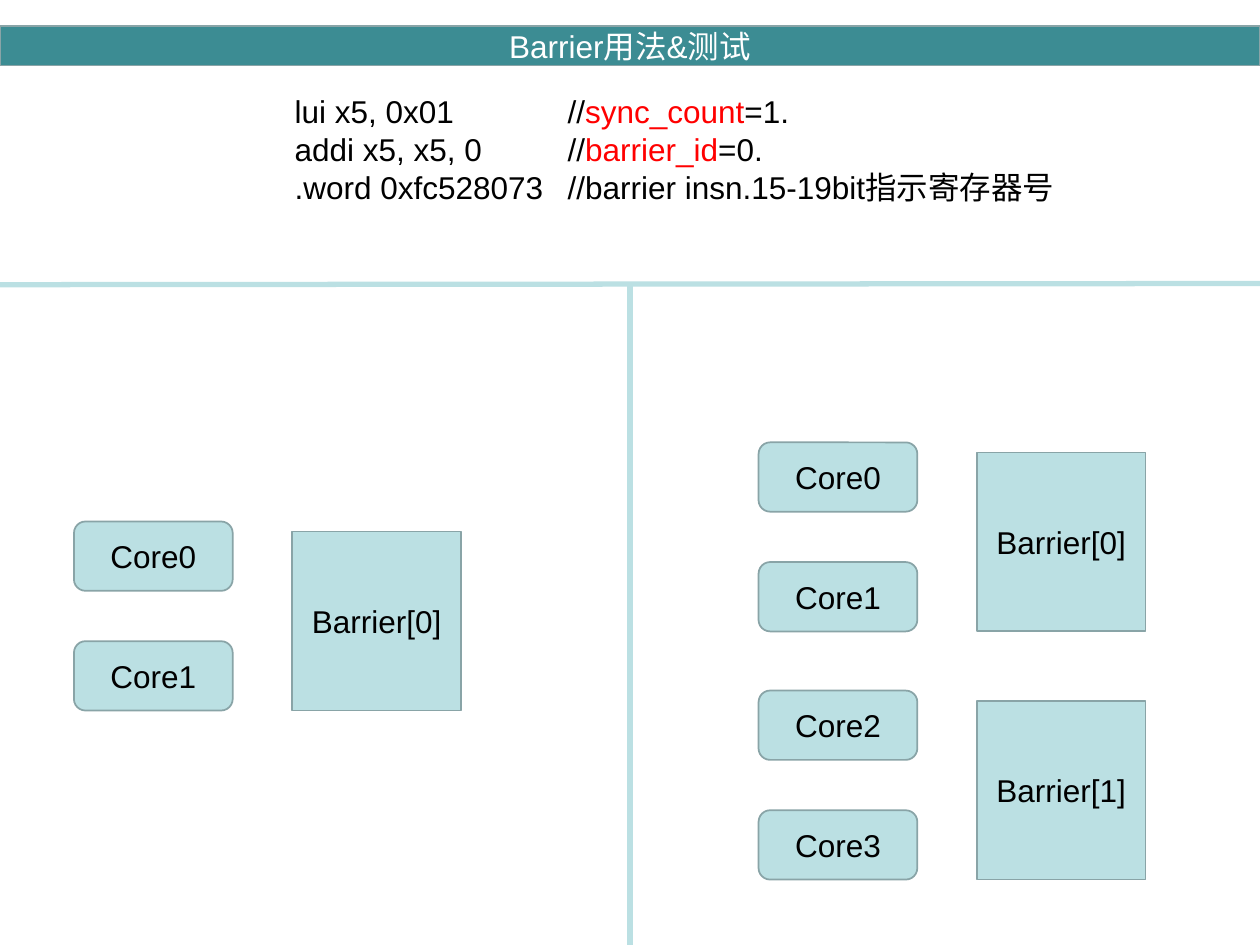
from pptx import Presentation
from pptx.dml.color import RGBColor
from pptx.enum.shapes import MSO_CONNECTOR as CONN, MSO_SHAPE as SHAPE
from pptx.enum.text import MSO_ANCHOR as ANCHOR, MSO_AUTO_SIZE as FIT, PP_ALIGN as ALIGN
from pptx.oxml.ns import qn
from pptx.util import Pt
from lxml.etree import SubElement

# Content
TITLE = "Barrier用法&测试"
CODE = [  # instruction, then comment as (text, colour) runs
    ("lui x5, 0x01", [("//", "text"), ("sync_count", "accent"), ("=1.", "text")]),
    ("addi x5, x5, 0", [("//", "text"), ("barrier_id", "accent"), ("=0.", "text")]),
    (".word 0xfc528073", [("//barrier insn.15-19bit指示寄存器号", "text")]),
]
GROUPS = [  # left, top, cores, barrier
    (42.3, 298, ["Core0", "Core1"], "Barrier[0]"),
    (433.5, 252.8, ["Core0", "Core1"], "Barrier[0]"),
    (433.5, 394.6, ["Core2", "Core3"], "Barrier[1]"),
]

THEME = {
    "font": "Arial", "size": 18, "line_w": 1, "divider_w": 3,
    "title": "FFFFFF", "text": "000000", "accent": "FF0000",
    "bar": "3C8C93", "box": "BBE0E3", "outline": "89A4A7",
}

# Geometry in points
W, H = 720, 540
CORE_W, CORE_H, CORE_PITCH = 90.7, 39.6, 68.4
BARRIER_W, BARRIER_H, BARRIER_DX = 96.5, 102.2, 124.7
SPLIT_Y, COMMENT_TAB = 162, 156


def color(name):
    return RGBColor.from_string(THEME[name])


def add_text(tf, paragraphs, align=ALIGN.CENTER, anchor=ANCHOR.MIDDLE, fit=FIT.NONE, tab=None):
    """Fill tf with paragraphs, each a list of (text, colour name) runs."""
    tf.word_wrap, tf.auto_size, tf.vertical_anchor = True, fit, anchor
    tf.margin_left = tf.margin_right = Pt(7.2)
    tf.margin_top = tf.margin_bottom = Pt(3.6)
    for i, runs in enumerate(paragraphs):
        p = tf.paragraphs[0] if i == 0 else tf.add_paragraph()
        p.alignment = align
        if tab:
            tabs = SubElement(p._p.get_or_add_pPr(), qn("a:tabLst"))
            SubElement(tabs, qn("a:tab"), pos=str(Pt(tab)), algn="l")
        for text, name in runs:
            r = p.add_run()
            r.text = text
            r.font.name, r.font.size = THEME["font"], Pt(THEME["size"])
            r.font.color.rgb = color(name)


def paint(sp, fill):
    sp.fill.solid()
    sp.fill.fore_color.rgb = color(fill)
    sp.line.color.rgb = color("outline")
    sp.line.width = Pt(THEME["line_w"])


def add_box(s, kind, x, y, w, h, label):
    sp = s.shapes.add_shape(kind, Pt(x), Pt(y), Pt(w), Pt(h))
    sp.shadow.inherit = False
    paint(sp, "box")
    add_text(sp.text_frame, [[(label, "text")]])


def add_divider(s, x1, y1, x2, y2):
    line = s.shapes.add_connector(CONN.STRAIGHT, Pt(x1), Pt(y1), Pt(x2), Pt(y2))
    line.line.color.rgb = color("box")
    line.line.width = Pt(THEME["divider_w"])
    SubElement(line._element.spPr, qn("a:effectLst"))


def main():
    prs = Presentation()
    prs.slide_width, prs.slide_height = Pt(W), Pt(H)
    s = prs.slides.add_slide(prs.slide_layouts[5])

    # Title bar
    title = s.shapes.title
    title.left, title.top, title.width, title.height = Pt(0), Pt(15), Pt(W), Pt(22.4)
    paint(title, "bar")
    add_text(title.text_frame, [[(TITLE, "title")]])

    # Code with aligned comments
    sp = s.shapes.add_textbox(Pt(161.3), Pt(49), Pt(483), Pt(72))
    lines = [[(code + "\t", "text"), *comment] for code, comment in CODE]
    add_text(sp.text_frame, lines, align=ALIGN.LEFT, anchor=ANCHOR.TOP,
             fit=FIT.SHAPE_TO_FIT_TEXT, tab=COMMENT_TAB)

    # Dividers
    add_divider(s, W / 2, SPLIT_Y, W / 2, H)
    add_divider(s, -2, SPLIT_Y + 0.7, W + 2, SPLIT_Y)

    # Cores with their barrier, aligned at the bottom
    for x, y, cores, barrier in GROUPS:
        for i, core in enumerate(cores):
            add_box(s, SHAPE.ROUNDED_RECTANGLE, x, y + i * CORE_PITCH, CORE_W, CORE_H, core)
        bottom = y + (len(cores) - 1) * CORE_PITCH + CORE_H
        add_box(s, SHAPE.RECTANGLE, x + BARRIER_DX, bottom - BARRIER_H,
                BARRIER_W, BARRIER_H, barrier)

    prs.save("out.pptx")


if __name__ == "__main__":
    main()
